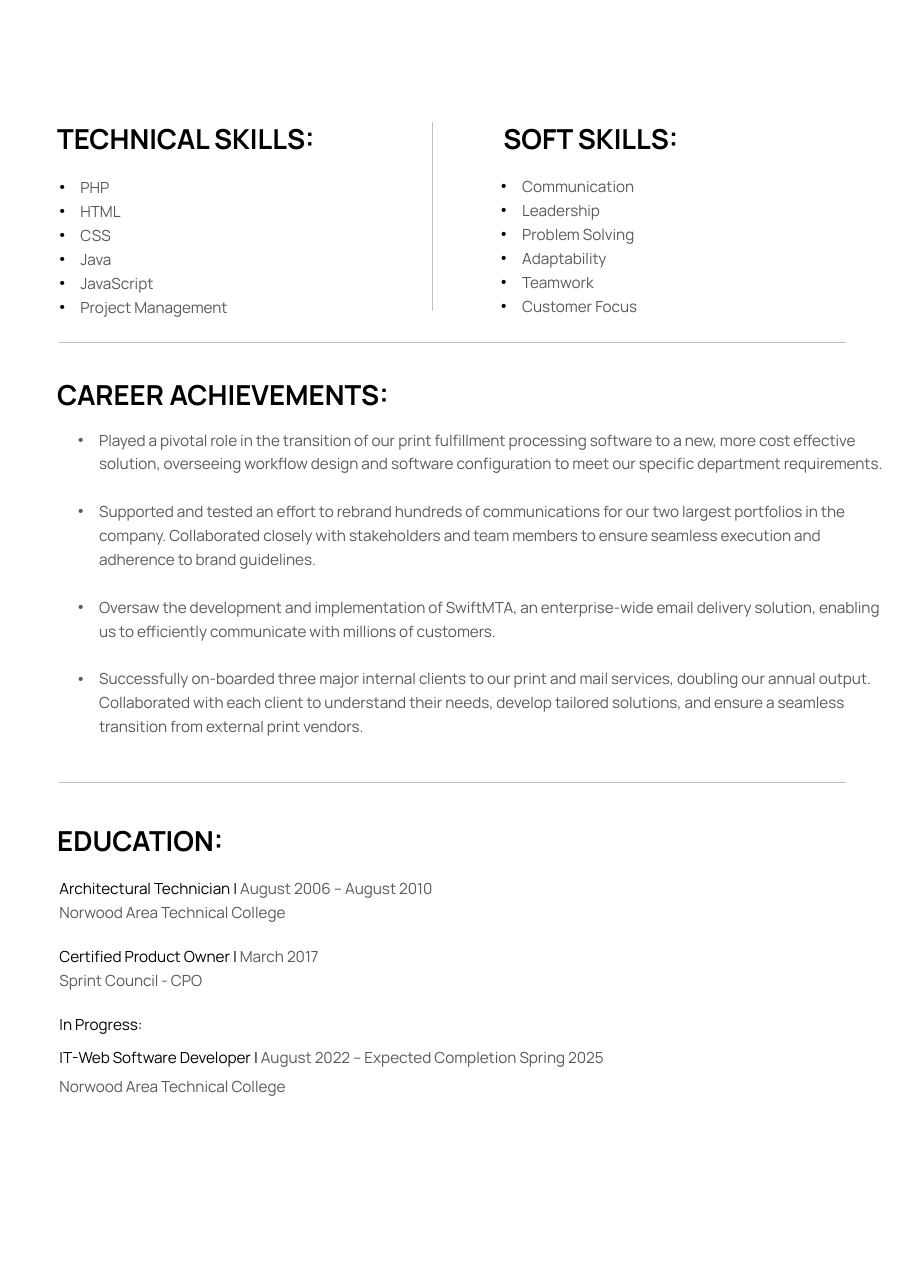
from lxml import etree
from pptx import Presentation
from pptx import util as u
from pptx.dml.color import RGBColor
from pptx.enum import shapes, text
from pptx.oxml.ns import qn

WIDTH, HEIGHT = u.Inches(8.27), u.Inches(11.69)
FONT = "Manrope"
COLORS = {"ink": "000000", "body": "595959", "rule": "C0C0C0"}
LINE_SPACING = 1.3
BLANK_LINE = 15.6
INDENT = u.Inches(0.19)

# Positions are percentages of the slide's width (x) and height (y).
HEADING_X, BODY_X, RULE_END = 6.29, 6.53, 92.9
HEADING_HEIGHT, ENTRY_HEIGHT, LIST_HEIGHT = 2.57, 1.88, 11.21

HEADINGS = [
    ("TECHNICAL SKILLS:", HEADING_X, 9.5),
    ("SOFT SKILLS:", 55.26, 9.5),
    ("CAREER ACHIEVEMENTS:", HEADING_X, 29.34),
    ("EDUCATION:", HEADING_X, 63.99),
]
TECHNICAL_SKILLS = ["PHP", "HTML", "CSS", "Java", "JavaScript", "Project Management"]
SOFT_SKILLS = ["Communication", "Leadership", "Problem Solving",
               "Adaptability", "Teamwork", "Customer Focus"]
ACHIEVEMENTS = [
    "Played a pivotal role in the transition of our print fulfillment processing "
    "software to a new, more cost effective solution, overseeing workflow design and "
    "software configuration to meet our specific department requirements.",
    "Supported and tested an effort to rebrand hundreds of communications for our two "
    "largest portfolios in the company. Collaborated closely with stakeholders and team "
    "members to ensure seamless execution and adherence to brand guidelines.",
    "Oversaw the development and implementation of SwiftMTA, an enterprise-wide email "
    "delivery solution, enabling us to efficiently communicate with millions of customers.",
    "Successfully on-boarded three major internal clients to our print and mail services, "
    "doubling our annual output. Collaborated with each client to understand their needs, "
    "develop tailored solutions, and ensure a seamless transition from external print vendors.",
]
COLLEGE = "Norwood Area Technical College"
# Top, dark part, grey part
EDUCATION = [
    (67.84, "Architectural Technician | ", "August 2006 – August 2010"),
    (69.72, "", COLLEGE),
    (73.14, "Certified Product Owner |", " March 2017"),
    (74.94, "", "Sprint Council - CPO"),
    (78.36, "In Progress:", ""),
    (80.92, "IT-Web Software Developer | ", "August 2022 – Expected Completion Spring 2025"),
    (83.23, "", COLLEGE),
]


def across(share):
    return round(WIDTH * share / 100)


def down(share):
    return round(HEIGHT * share / 100)


def rgb(name):
    return RGBColor.from_string(COLORS[name])


def add_bullet(paragraph, color):
    props = paragraph._p.get_or_add_pPr()
    props.set("marL", str(INDENT))
    props.set("indent", str(-INDENT))
    bullet_color = etree.SubElement(props, qn("a:buClr"))
    etree.SubElement(bullet_color, qn("a:srgbClr"), val=COLORS[color])
    etree.SubElement(props, qn("a:buFont"), typeface="Arial")
    etree.SubElement(props, qn("a:buChar"), char="•")


def add_text(slide, paragraphs, x, y, width, height, *, size=10, bold=False,
             spacing=LINE_SPACING, gap=0, bullet=None, inset=0):
    """Add a text box; each paragraph is a list of (wording, color name) runs."""
    box = slide.shapes.add_textbox(across(x), down(y), across(width), down(height))
    frame = box.text_frame
    frame.word_wrap = True
    frame.auto_size = text.MSO_AUTO_SIZE.SHAPE_TO_FIT_TEXT
    frame.margin_left = u.Inches(inset)
    frame.margin_top = frame.margin_right = frame.margin_bottom = 0
    for index, runs in enumerate(paragraphs):
        paragraph = frame.add_paragraph() if index else frame.paragraphs[0]
        paragraph.line_spacing = spacing
        if index and gap:
            paragraph.space_before = u.Pt(gap)
        if bullet:
            add_bullet(paragraph, bullet)
        for wording, color in runs:
            run = paragraph.add_run()
            run.text = wording
            run.font.name = FONT
            run.font.size = u.Pt(size)
            run.font.bold = bold
            run.font.color.rgb = rgb(color)


def add_heading(slide, wording, x, y):
    add_text(slide, [[(wording, "ink")]], x, y, 51.27, HEADING_HEIGHT,
             size=18, bold=True, spacing=1.0)


def add_list(slide, items, x, y, width, height, **formatting):
    add_text(slide, [[(item, "body")] for item in items], x, y, width, height, **formatting)


def add_entry(slide, y, dark, grey):
    runs = [(wording, color) for wording, color in ((dark, "ink"), (grey, "body")) if wording]
    add_text(slide, [runs], BODY_X, y, 65.66, ENTRY_HEIGHT)


def add_rule(slide, x1, y1, x2, y2):
    rule = slide.shapes.add_connector(shapes.MSO_CONNECTOR.STRAIGHT,
                                      across(x1), down(y1), across(x2), down(y2))
    rule.line.color.rgb = rgb("rule")
    rule.line.width = u.Pt(0.75)
    etree.SubElement(rule._element.spPr, qn("a:effectLst"))


def main():
    deck = Presentation()
    deck.slide_width, deck.slide_height = WIDTH, HEIGHT
    slide = deck.slides.add_slide(deck.slide_layouts.get_by_name("Blank"))

    for heading in HEADINGS:
        add_heading(slide, *heading)
    add_list(slide, TECHNICAL_SKILLS, BODY_X, 13.43, 41.23, LIST_HEIGHT, bullet="ink")
    add_list(slide, SOFT_SKILLS, 55.02, 13.34, 41.23, LIST_HEIGHT, bullet="ink")
    add_list(slide, ACHIEVEMENTS, 6.17, 33.02, 91.29, 26.18,
             bullet="body", gap=BLANK_LINE, inset=0.2)
    for entry in EDUCATION:
        add_entry(slide, *entry)

    add_rule(slide, 47.52, 9.5, 47.52, 24.12)
    for section_end in (26.6, 60.74):
        add_rule(slide, BODY_X, section_end, RULE_END, section_end)

    deck.save("out.pptx")


if __name__ == "__main__":
    main()
